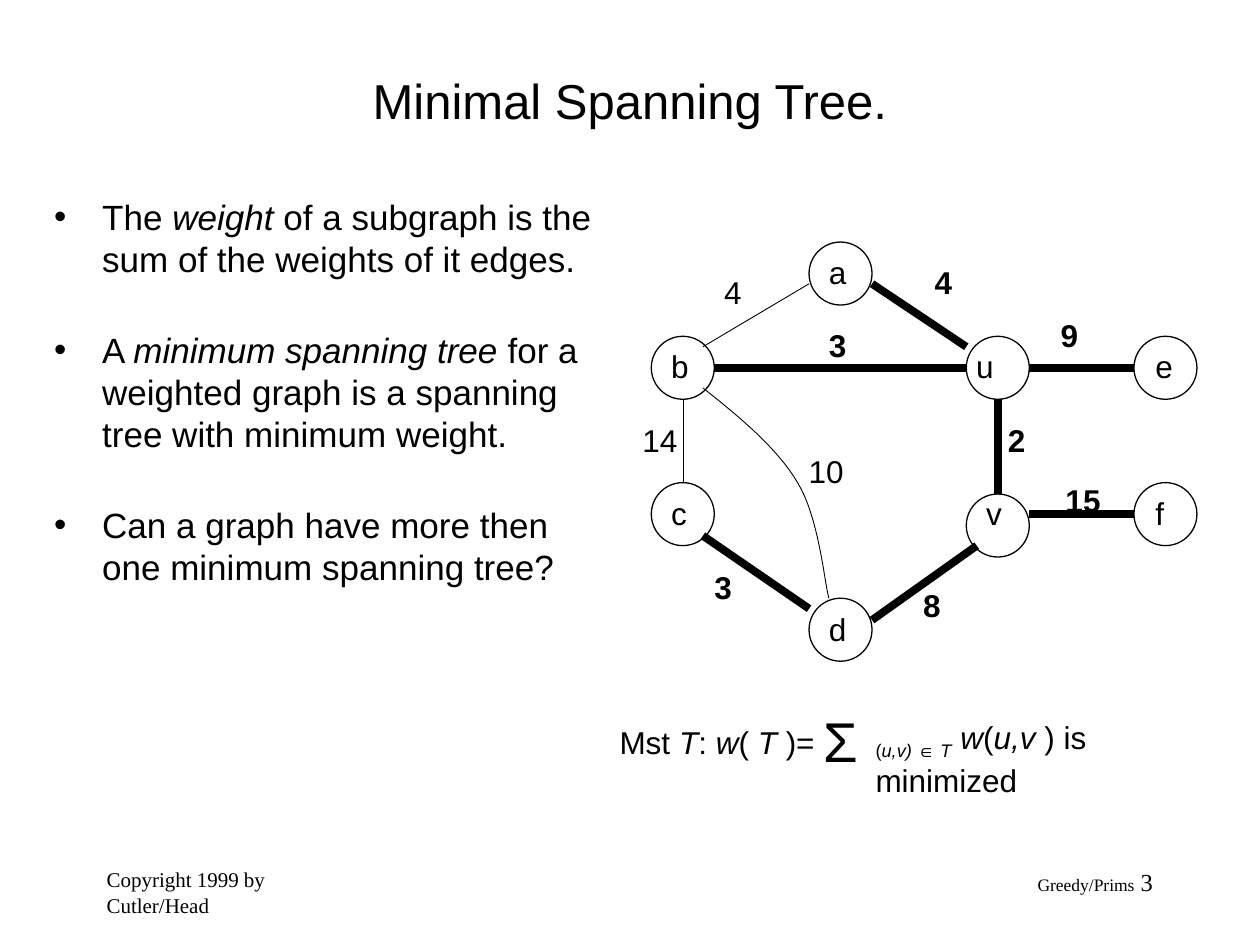
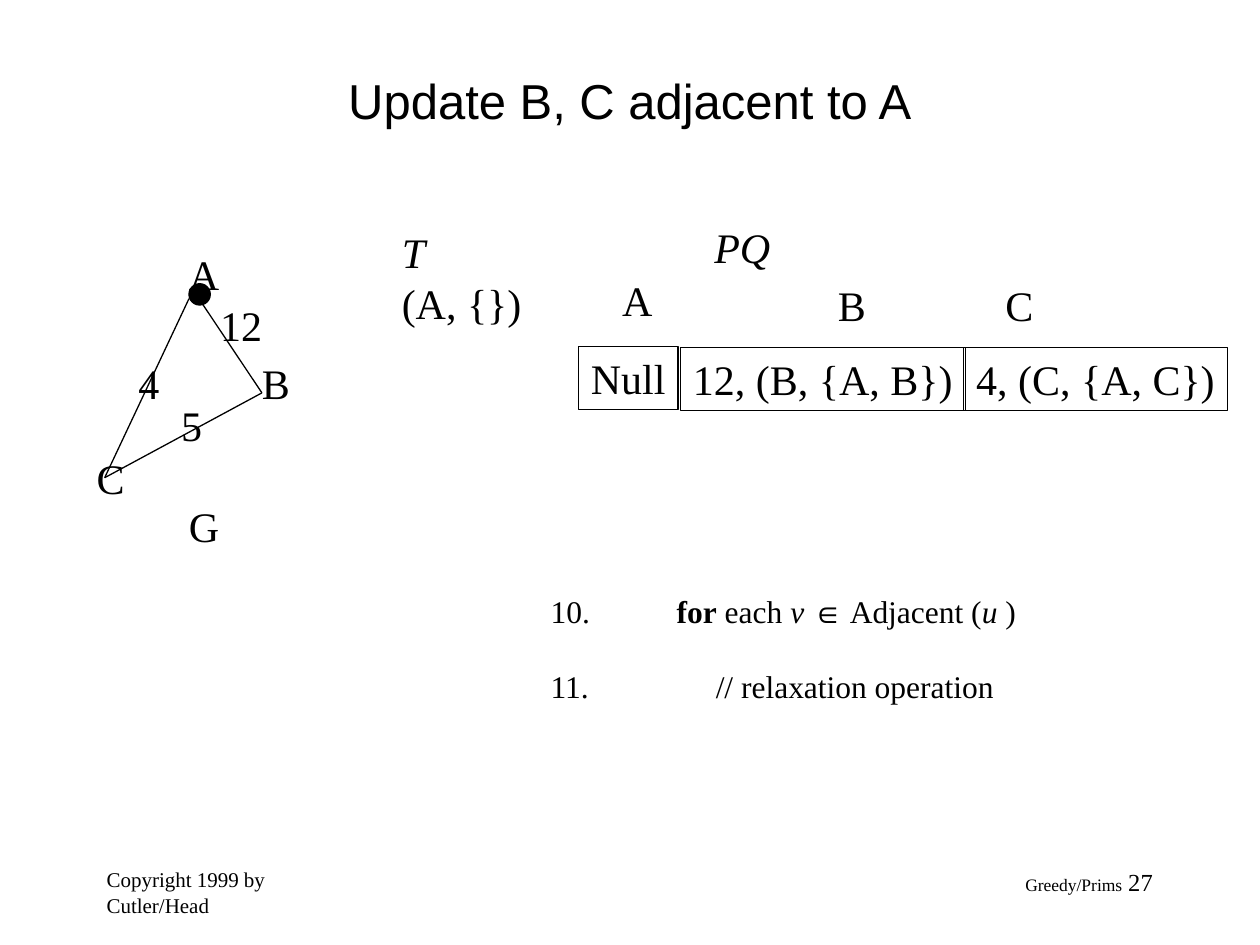
from dataclasses import dataclass

from lxml import etree
from pptx import Presentation
from pptx.dml.color import RGBColor
from pptx.enum.shapes import MSO_CONNECTOR, MSO_SHAPE
from pptx.enum.text import MSO_ANCHOR, PP_ALIGN
from pptx.oxml.ns import qn
from pptx.util import Cm, Pt

LEFT, CENTER, RIGHT = PP_ALIGN.LEFT, PP_ALIGN.CENTER, PP_ALIGN.RIGHT
TOP, MIDDLE = MSO_ANCHOR.TOP, MSO_ANCHOR.MIDDLE
STRAIGHT = MSO_CONNECTOR.STRAIGHT
RECT, OVAL = MSO_SHAPE.RECTANGLE, MSO_SHAPE.OVAL
TITLE_ONLY = 5


@dataclass(frozen=True)
class Theme:
    ink: RGBColor = RGBColor(0, 0, 0)
    sans: str = "Arial"
    serif: str = "Times New Roman"
    title: int = 28
    body: int = 20
    graph: int = 18
    trace: int = 24
    code: int = 18
    sigma: int = 32
    footer: int = 12
    chapter: int = 10
    number: int = 14
    thin: float = 0.5
    outline: float = 0.75
    tree: float = 4.5


class Deck:
    def __init__(self, theme):
        self.theme = theme
        self.prs = Presentation()
        self.prs.slide_width, self.prs.slide_height = Cm(25.4), Cm(19.05)
        self.s = None

    def slide(self, title, number):
        t = self.theme
        self.s = self.prs.slides.add_slide(self.prs.slide_layouts[TITLE_ONLY])
        sp = self.s.shapes.title
        sp.left, sp.top, sp.width, sp.height = Cm(1.9), Cm(0.84), Cm(21.59), Cm(2.34)
        self.fill_text(sp.text_frame, [title], t.title, t.sans, CENTER, MIDDLE)
        self.text(["Copyright 1999 by Cutler/Head"], 1.9, 17.35, 5.28, 1.27,
                  t.footer, t.serif, wrap=True)
        tf = self.text([[("Greedy/Prims", ""), (f" {number}", "")]],
                       18.21, 17.35, 5.28, 1.27, t.chapter, t.serif, RIGHT, wrap=True)
        tf.paragraphs[0].runs[1].font.size = Pt(t.number)

    def fill_text(self, tf, paragraphs, size, font, align=LEFT, anchor=TOP, wrap=True):
        """Fill a frame; a paragraph is a string or (text, marks) runs.

        Marks: b bold, i italic, s subscript, a sans font.
        """
        tf.word_wrap = wrap
        tf.vertical_anchor = anchor
        for i, runs in enumerate(paragraphs):
            p = tf.add_paragraph() if i else tf.paragraphs[0]
            p.alignment = align
            for text, marks in [(runs, "")] if isinstance(runs, str) else runs:
                r = p.add_run()
                r.text = text
                r.font.size = Pt(size)
                r.font.name = self.theme.sans if "a" in marks else font
                r.font.color.rgb = self.theme.ink
                r.font.bold = "b" in marks
                r.font.italic = "i" in marks
                if "s" in marks:
                    r._r.get_or_add_rPr().set("baseline", "-25000")

    def text(self, paragraphs, x, y, w, h, size, font, align=LEFT, wrap=False):
        tf = self.s.shapes.add_textbox(Cm(x), Cm(y), Cm(w), Cm(h)).text_frame
        self.fill_text(tf, paragraphs, size, font, align, wrap=wrap)
        return tf

    def graph_label(self, text, x, y, w=0.86, marks=""):
        self.text([[(text, marks)]], x, y, w, 1.02, self.theme.graph, self.theme.sans)

    def trace_label(self, text, x, y, w, marks=""):
        self.text([[(text, marks)]], x, y, w, 1.27, self.theme.trace, self.theme.serif)

    def bullets(self, paragraphs, x, y, w, h, indent, gap):
        tf = self.text(paragraphs, x, y, w, h, self.theme.body, self.theme.sans, wrap=True)
        for i, p in enumerate(tf.paragraphs):
            p.space_before = Pt(gap if i else 5)
            pPr = p._p.get_or_add_pPr()
            pPr.set("marL", str(Cm(indent)))
            pPr.set("indent", str(-Cm(indent)))
            etree.SubElement(pPr, qn("a:buFont")).set("typeface", self.theme.sans)
            etree.SubElement(pPr, qn("a:buChar")).set("char", "•")

    def code(self, lines, x, y, w, h, tabs, gap):
        """Numbered lines, each with its own tab stop in cm."""
        tf = self.text(lines, x, y, w, h, self.theme.code, self.theme.serif, wrap=True)
        for i, (p, tab) in enumerate(zip(tf.paragraphs, tabs)):
            p.space_before = Pt(gap if i else 0)
            stops = etree.SubElement(p._p.get_or_add_pPr(), qn("a:tabLst"))
            etree.SubElement(stops, qn("a:tab"), pos=str(Cm(tab)), algn="l")

    def outline(self, sp, width, filled=False):
        sp.shadow.inherit = False
        if filled:
            sp.fill.solid()
            sp.fill.fore_color.rgb = self.theme.ink
        else:
            sp.fill.background()
        sp.line.color.rgb = self.theme.ink
        sp.line.width = Pt(width)

    def shape(self, kind, x, y, w, h, filled=False):
        sp = self.s.shapes.add_shape(kind, Cm(x), Cm(y), Cm(w), Cm(h))
        self.outline(sp, self.theme.outline, filled)
        return sp

    def cell(self, text, x, y, w):
        sp = self.shape(RECT, x, y, w, 1.27)
        self.fill_text(sp.text_frame, [text], self.theme.trace, self.theme.serif, wrap=False)

    def line(self, x1, y1, x2, y2, width):
        c = self.s.shapes.add_connector(STRAIGHT, Cm(x1), Cm(y1), Cm(x2), Cm(y2))
        c.line.color.rgb = self.theme.ink
        c.line.width = Pt(width)
        etree.SubElement(c._element.spPr, qn("a:effectLst"))

    def curve(self, *beziers, steps=16):
        points = [bezier(b, k / steps) for b in beziers for k in range(steps + 1)]
        points = [(Cm(x), Cm(y)) for x, y in points]
        fb = self.s.shapes.build_freeform(*points[0])
        fb.add_line_segments(points[1:], close=False)
        self.outline(fb.convert_to_shape(), self.theme.thin)


def bezier(controls, t):
    """Point at t on a cubic curve with four control points."""
    weights = (1 - t) ** 3, 3 * t * (1 - t) ** 2, 3 * t * t * (1 - t), t ** 3
    return tuple(sum(k * v for k, v in zip(weights, axis)) for axis in zip(*controls))


def spanning_tree(d):
    t = d.theme
    d.slide("Minimal Spanning Tree.", 3)

    nodes = [  # name, circle x and y, label x, y and width
        ("b", 13.13, 6.78, 13.28, 6.88, 0.86),
        ("c", 13.13, 9.73, 13.28, 9.83, 0.81),
        ("a", 16.31, 4.88, 16.46, 4.98, 0.86),
        ("u", 19.48, 6.78, 19.43, 6.88, 0.86),
        ("d", 16.31, 12.06, 16.46, 12.17, 0.86),
        ("v", 19.48, 9.96, 19.63, 9.83, 0.81),
        ("e", 22.86, 6.78, 23.04, 6.88, 0.86),
        ("f", 22.86, 9.73, 23.04, 9.83, 0.69),
    ]
    for name, x, y, *label in nodes:
        d.shape(OVAL, x, y, 1.27, 1.27)

    other_edges = [(13.77, 8.05, 13.77, 9.73), (14.17, 6.99, 16.31, 5.72)]
    tree_edges = [
        (14.17, 10.8, 16.31, 12.27),
        (17.58, 12.5, 19.69, 11),
        (17.58, 5.72, 19.48, 6.99),
        (20.12, 8.05, 20.12, 9.96),
        (14.4, 7.42, 19.48, 7.42),
        (20.75, 7.42, 22.86, 7.42),
        (20.75, 10.36, 22.86, 10.36),
    ]
    for edges, width in ((other_edges, t.thin), (tree_edges, t.tree)):
        for edge in edges:
            d.line(*edge, width)
    d.curve([(14.17, 7.82), (14.94, 8.43), (15.67, 9.04), (16.08, 9.73)],
            [(16.08, 9.73), (16.51, 10.44), (16.61, 11.68), (16.71, 12.06)])

    for name, x, y, *label in nodes:
        d.graph_label(name, *label)
    for weight, x, y, marks in [
        ("4", 14.35, 5.38, ""), ("10", 16.05, 8.99, ""), ("14", 12.7, 8.36, ""),
        ("4", 18.59, 5.18, "b"), ("3", 16.46, 6.45, "b"), ("2", 20.07, 8.36, "b"),
        ("9", 21.13, 6.25, "b"), ("15", 21.23, 9.58, "b"), ("8", 18.36, 11.68, "b"),
        ("3", 14.15, 11.33, "b"),
    ]:
        d.graph_label(weight, x, y, 0.5 + 0.36 * len(weight), marks)

    d.text(["Σ"], 16.36, 14.12, 1.17, 1.63, t.sigma, t.sans)
    d.text([[("Mst ", ""), ("T", "i"), (": ", ""), ("w", "i"), ("( ", ""),
             ("T", "i"), (" )=", "")]], 12.24, 14.45, 4.45, 1.02, t.graph, t.sans)
    d.text([[("(", "s"), ("u,v) ∈ T", "is"), (" w", "i"), ("(", ""), ("u,v", "i"),
             (" ) is", "")], "minimized"],
           17.4, 14.35, 7.67, 1.88, t.graph, t.sans, wrap=True)

    d.bullets([
        [("The ", ""), ("weight", "i"),
         (" of a subgraph is the sum of the weights of it edges.", "")],
        [("A ", ""), ("minimum spanning tree", "i"),
         (" for a weighted graph is a spanning tree with minimum weight.", "")],
        "Can a graph have more then one minimum spanning tree?",
    ], 0.84, 3.81, 11.63, 12.7, indent=0.97, gap=28)


def update_neighbours(d):
    t = d.theme
    d.slide("Update B, C adjacent to A", 27)

    d.text([[("T", "i")], "(A, {})"], 7.85, 4.45, 2.92, 2.29, t.trace, t.serif)
    d.trace_label("PQ", 14.15, 4.34, 1.63, "i")
    for name, name_x, name_y, name_w, entry, x, y, w in [
        ("A", 12.29, 5.41, 1.12, "Null", 11.66, 6.99, 2.01),
        ("B", 16.64, 5.51, 1.07, "12, (B, {A, B})", 13.72, 7.01, 5.74),
        ("C", 20.02, 5.51, 1.07, "4, (C, {A, C})", 19.43, 7.01, 5.31),
    ]:
        d.trace_label(name, name_x, name_y, name_w)
        d.cell(entry, x, y, w)

    b, c = (5.28, 7.92), (2.11, 9.63)
    for start, end in (((3.81, 6.02), c), ((4.01, 6.02), b), (b, c)):
        d.line(*start, *end, t.outline)
    for label in [
        ("A", 3.56, 4.88, 1.12), ("B", 5.03, 7.09, 1.07), ("C", 1.7, 8.99, 1.07),
        ("12", 4.19, 5.92, 1.35), ("5", 3.4, 7.92, 0.91), ("4", 2.54, 7.09, 0.91),
        ("G", 3.56, 9.96, 1.12),
    ]:
        d.trace_label(*label)
    d.shape(OVAL, 3.81, 5.72, 0.43, 0.43, filled=True)

    d.code([
        [("10.\t", ""), ("for", "b"), (" each ", ""), ("v ", "i"), ("∈", "a"),
         (" Adjacent (", ""), ("u", "i"), (" )", "")],
        "11.\t// relaxation operation",
    ], 10.85, 11.81, 10.5, 2.54, tabs=(2.54, 3.33), gap=21)


def main():
    d = Deck(Theme())
    spanning_tree(d)
    update_neighbours(d)
    d.prs.save("out.pptx")


if __name__ == "__main__":
    main()
